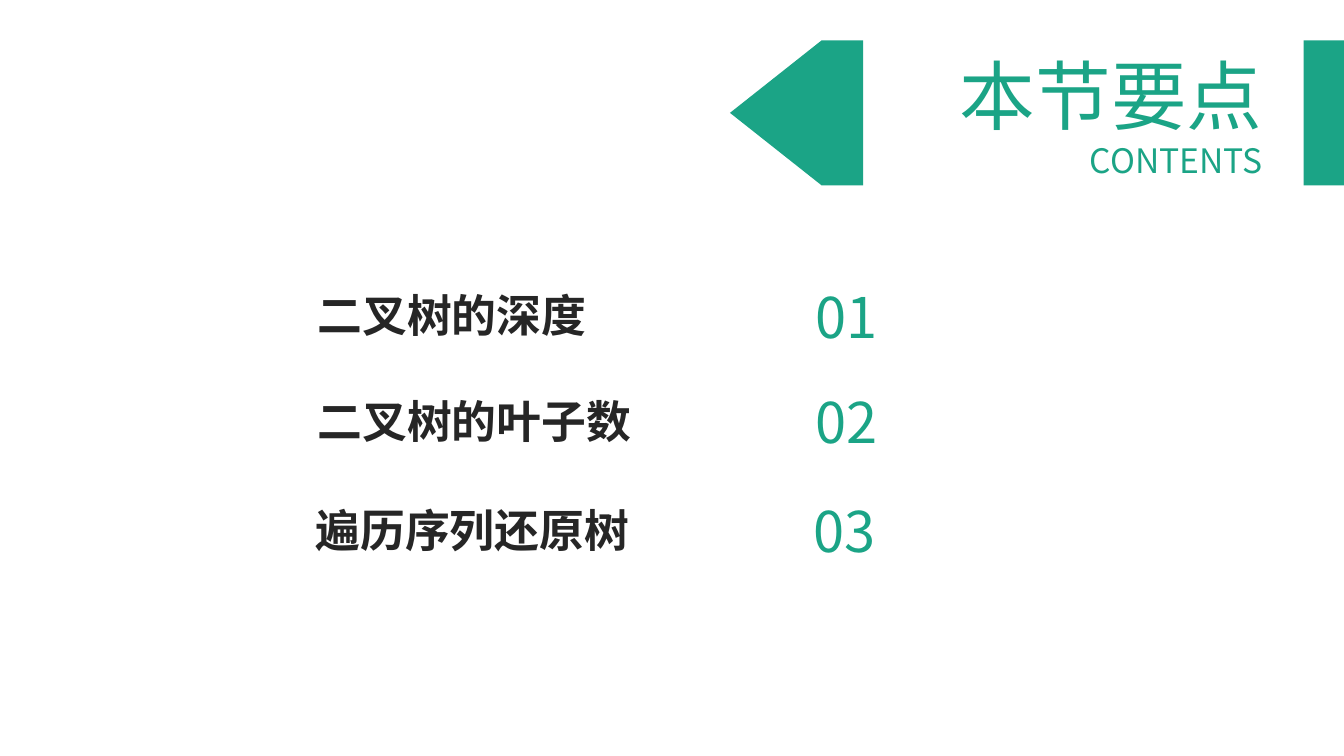
from lxml import etree
from pptx import Presentation
from pptx.dml.color import RGBColor
from pptx.enum import shapes, text
from pptx.oxml.ns import qn
from pptx.util import Inches, Pt

GREEN = RGBColor(0x1B, 0xA4, 0x86)
DARK = RGBColor(0x26, 0x26, 0x26)
FONT = "Noto Sans CJK SC"


def write(box, lines, color, align, bold=False):
    """Fill a box with (words, size) lines in one style."""
    frame = box.text_frame
    frame.word_wrap = False
    frame.auto_size = text.MSO_AUTO_SIZE.NONE
    frame.text = "\n".join(words for words, size in lines)
    for para, (words, size) in zip(frame.paragraphs, lines):
        para.alignment = align
        para.line_spacing = 1
        para.space_before = Pt(0)
        para.font.size = Pt(size)
        para.font.bold = bold
        para.font.color.rgb = color
        para.font.name = FONT
        # Chinese characters take the East Asian typeface
        latin = para.font._element.find(qn("a:latin"))
        east_asian = etree.Element(qn("a:ea"), typeface=FONT)
        latin.addnext(east_asian)


def paint(shape):
    shape.shadow.inherit = False
    shape.fill.solid()
    shape.fill.fore_color.rgb = GREEN
    shape.line.fill.background()


deck = Presentation()
deck.slide_width, deck.slide_height = Inches(13.33), Inches(7.5)
page = deck.slides.add_slide(deck.slide_layouts[5])

# Header: edge bar and left-pointing tag
paint(page.shapes.add_shape(shapes.MSO_SHAPE.RECTANGLE,
                            Inches(12.93), Inches(0.4), Inches(0.4), Inches(1.44)))
outline = page.shapes.build_freeform(Inches(8.15), Inches(0.4))
outline.add_line_segments([(Inches(x), Inches(y)) for x, y in
                           [(8.56, 0.4), (8.56, 1.84), (8.15, 1.84), (7.24, 1.12)]])
paint(outline.convert_to_shape())

# Title
title = page.shapes.title
title.left, title.top = Inches(9.39), Inches(0.43)
title.width, title.height = Inches(3.23), Inches(1.41)
write(title, [("本节要点", 54), ("CONTENTS", 24)], GREEN, text.PP_ALIGN.RIGHT)
title.text_frame.vertical_anchor = text.MSO_ANCHOR.MIDDLE

# Contents: topic on the left, number on the right
topics = [("二叉树的深度", 3.05, 2.81), ("二叉树的叶子数", 3.05, 3.86),
          ("遍历序列还原树", 3.03, 4.94)]
for number, (topic, left, top) in enumerate(topics, 1):
    box = page.shapes.add_textbox(Inches(left), Inches(top), Inches(3.34), Inches(0.64))
    write(box, [(topic, 32)], DARK, text.PP_ALIGN.LEFT, bold=True)
    box = page.shapes.add_textbox(Inches(left + 4.89), Inches(top - 0.06),
                                  Inches(0.86), Inches(0.77))
    write(box, [(f"{number:02}", 40)], GREEN, text.PP_ALIGN.RIGHT)

deck.save("out.pptx")
